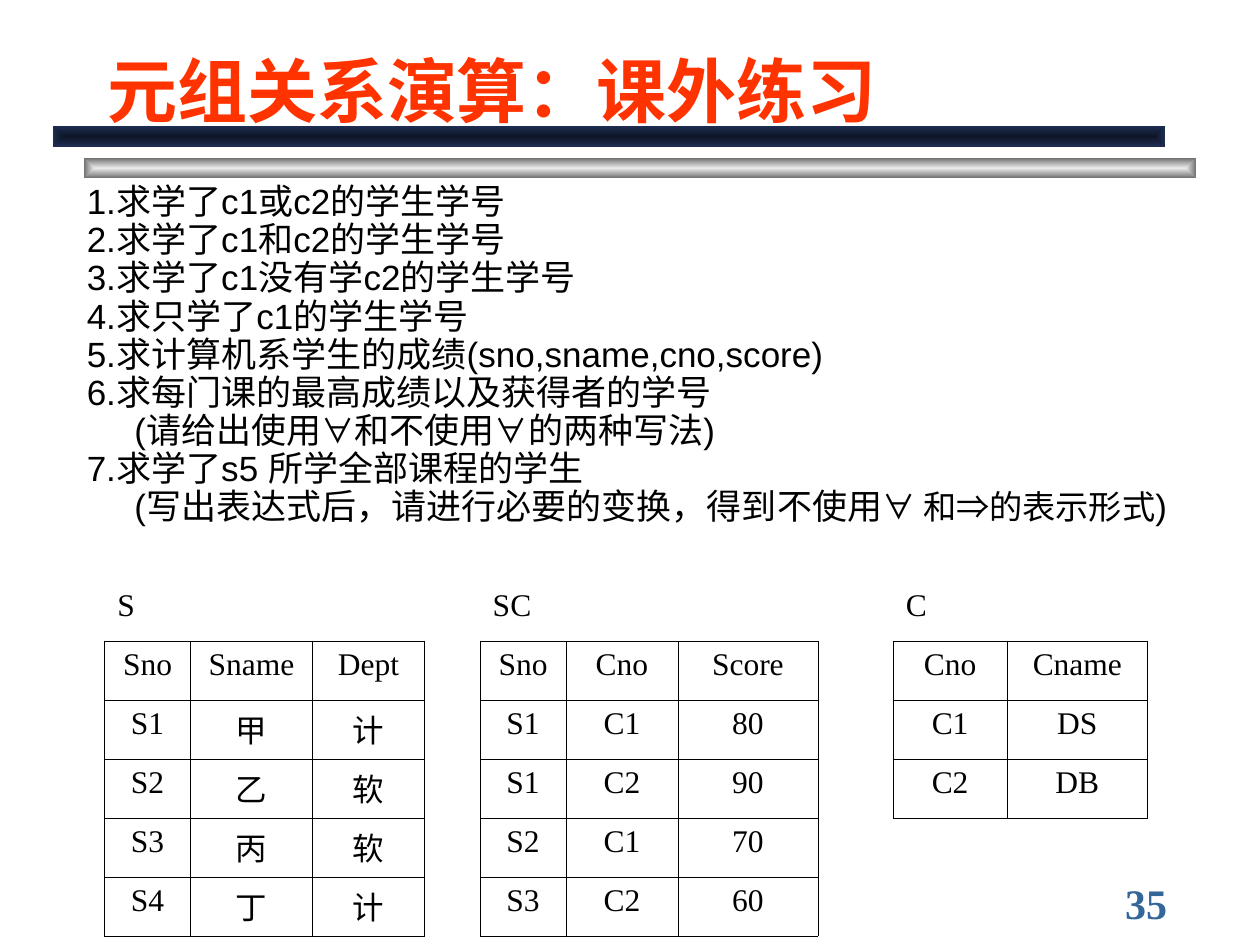
from pptx import Presentation
from pptx.dml.color import RGBColor
from pptx.enum.shapes import MSO_SHAPE
from pptx.enum.text import MSO_ANCHOR, PP_ALIGN
from pptx.oxml import parse_xml
from pptx.oxml.ns import nsdecls, qn
from pptx.util import Cm, Pt

BLACK = RGBColor(0x00, 0x00, 0x00)
TITLE_RED = RGBColor(0xFF, 0x33, 0x00)
PAGE_BLUE = RGBColor(0x33, 0x66, 0x99)
NAVY_DARK = RGBColor(0x0E, 0x15, 0x26)
NAVY = RGBColor(0x1E, 0x2E, 0x53)
SILVER = RGBColor(0xEA, 0xEA, 0xEA)
GREY = RGBColor(0x6C, 0x6C, 0x6C)

SANS = "Arial"
SERIF = "Times New Roman"

EXERCISES = [
    "1.求学了c1或c2的学生学号",
    "2.求学了c1和c2的学生学号",
    "3.求学了c1没有学c2的学生学号",
    "4.求只学了c1的学生学号",
    "5.求计算机系学生的成绩(sno,sname,cno,score)",
    "6.求每门课的最高成绩以及获得者的学号",
    [("(请给出使用", 20), ("∀", 19), ("和不使用", 20), ("∀", 19), ("的两种写法)", 20)],
    "7.求学了s5 所学全部课程的学生",
    [("(写出表达式后，请进行必要的变换，得到不使用", 20),
     ("∀ 和⇒的表示形式", 19), (")", 20)],
]

COLUMN_WIDTHS = [1.73, 2.46, 2.26, 1.12, 1.73, 2.26, 2.82, 1.52, 2.29, 2.84]
ROW_HEIGHT = 1.19
RELATIONS = [
    (0, "S", ["Sno Sname Dept", "S1 甲 计", "S2 乙 软", "S3 丙 软", "S4 丁 计"]),
    (4, "SC", ["Sno Cno Score", "S1 C1 80", "S1 C2 90", "S2 C1 70", "S3 C2 60"]),
    (8, "C", ["Cno Cname", "C1 DS", "C2 DB"]),
]


class SlideWriter:
    def __init__(self, deck):
        self.slide = deck.slides.add_slide(deck.slide_layouts[5])
        self.shapes = self.slide.shapes

    def style(self, paragraph, font, size, color=BLACK, bold=False):
        for run in paragraph.runs:
            run.font.name = font
            run.font.size = Pt(size)
            run.font.color.rgb = color
            run.font.bold = bold

    def bar(self, left, top, center, edge):
        bar = self.shapes.add_shape(
            MSO_SHAPE.RECTANGLE, Cm(left), Cm(top), Cm(22.43), Cm(0.42))
        bar.shadow.inherit = False
        bar.line.fill.background()
        bar.fill.gradient()
        for stop, color in zip(bar.fill.gradient_stops, (center, edge)):
            stop.color.rgb = color
        gradient = bar._element.spPr.find(qn("a:gradFill"))
        gradient.replace(gradient.find(qn("a:lin")), parse_xml(
            f'<a:path {nsdecls("a")} path="rect">'
            '<a:fillToRect l="50000" t="50000" r="50000" b="50000"/></a:path>'))

    def title(self, text):
        title = self.shapes.title
        title.left, title.top, title.width, title.height = (
            Cm(1.91), Cm(0.43), Cm(21.59), Cm(2.34))
        frame = title.text_frame
        frame.text = text
        frame.vertical_anchor = MSO_ANCHOR.BOTTOM
        frame.paragraphs[0].alignment = PP_ALIGN.LEFT
        self.style(frame.paragraphs[0], SANS, 40, TITLE_RED, True)
        self.shapes._spTree.append(title._element)

    def text_box(self, left, top, width, height):
        frame = self.shapes.add_textbox(
            Cm(left), Cm(top), Cm(width), Cm(height)).text_frame
        frame.word_wrap = True
        return frame

    def page_number(self, text):
        frame = self.text_box(22.43, 17.78, 2.74, 0.84)
        frame.text = text
        frame.vertical_anchor = MSO_ANCHOR.MIDDLE
        self.style(frame.paragraphs[0], SERIF, 24, PAGE_BLUE, True)

    def exercises(self, items):
        frame = self.text_box(1.5, 3.73, 22.4, 7.72)
        for index, item in enumerate(items):
            paragraph = frame.add_paragraph() if index else frame.paragraphs[0]
            paragraph.line_spacing = 0.7
            paragraph.space_before = Pt(5)
            properties = paragraph._p.get_or_add_pPr()
            properties.set("marL", str(Cm(0.96)))
            if isinstance(item, str):
                properties.set("indent", str(-Cm(0.96)))
                paragraph.text = item
                self.style(paragraph, SANS, 20)
                continue
            properties.set("indent", "0")
            for part, size in item:
                paragraph.add_run().text = part
            self.style(paragraph, SANS, 20)
            for run, (part, size) in zip(paragraph.runs, item):
                run.font.size = Pt(size)

    def border(self, cell, edges):
        properties = cell._tc.get_or_add_tcPr()
        for position, (side, drawn) in enumerate(zip("LRTB", edges)):
            paint = (f'<a:solidFill><a:srgbClr val="{BLACK}"/></a:solidFill>'
                     if drawn else "<a:noFill/>")
            properties.insert(position, parse_xml(
                f'<a:ln{side} {nsdecls("a")} w="{Pt(0.45)}">{paint}</a:ln{side}>'))

    def relations(self, relations):
        row_count = 1 + max(len(rows) for _, _, rows in relations)
        table = self.shapes.add_table(
            row_count, len(COLUMN_WIDTHS), Cm(2.11), Cm(11.73),
            Cm(sum(COLUMN_WIDTHS)), Cm(ROW_HEIGHT * row_count)).table
        table.first_row = False
        table.horz_banding = False
        for column, width in zip(table.columns, COLUMN_WIDTHS):
            column.width = Cm(width)
        for row in table.rows:
            row.height = Cm(ROW_HEIGHT)

        names, values = {}, {}
        for first, name, rows in relations:
            names[0, first] = name
            for r, row in enumerate(rows, 1):
                for c, value in enumerate(row.split(), first):
                    values[r, c] = value

        for r in range(row_count):
            for c in range(len(COLUMN_WIDTHS)):
                cell = table.cell(r, c)
                cell.fill.background()
                neighbours = [(r, c - 1), (r, c + 1), (r - 1, c), (r + 1, c)]
                self.border(cell, [(r, c) in values or place in values
                                   for place in neighbours])
                text = names.get((r, c)) or values.get((r, c))
                if text:
                    cell.text_frame.text = text
                    paragraph = cell.text_frame.paragraphs[0]
                    if (r, c) in values:
                        paragraph.alignment = PP_ALIGN.CENTER
                    self.style(paragraph, SERIF, 18)


def main():
    deck = Presentation()
    deck.slide_width, deck.slide_height = Cm(25.4), Cm(19.05)
    writer = SlideWriter(deck)
    writer.bar(1.69, 3.18, SILVER, GREY)
    writer.bar(1.06, 2.54, NAVY_DARK, NAVY)
    writer.page_number("35")
    writer.title("元组关系演算：课外练习")
    writer.exercises(EXERCISES)
    writer.relations(RELATIONS)
    deck.save("out.pptx")


if __name__ == "__main__":
    main()
